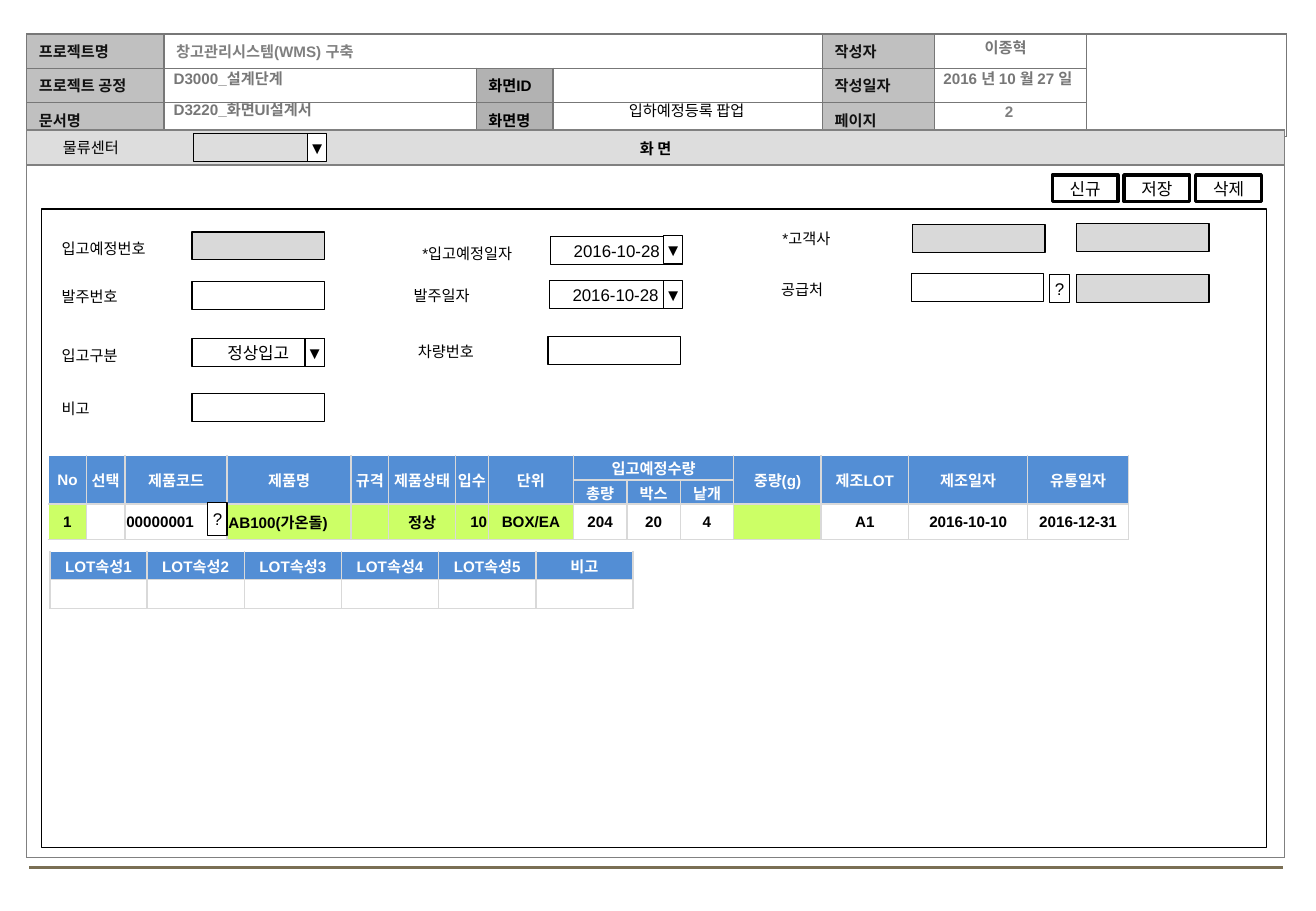
from dataclasses import dataclass
from typing import Any, Optional

import pptx
import pptx.dml.color
import pptx.enum.shapes
import pptx.enum.text
import pptx.oxml.ns
import pptx.util
from lxml import etree

SCALE = 9144  # EMU per px, 100 px to the inch
FONT = "Arial"
COLORS = {
    "black": "000000", "white": "FFFFFF", "ink": "111111",
    "dim": "777777", "gray": "808080", "page": "7F7F7F",
    "label": "C0C0C0", "dark": "B2B2B2", "bar": "DDDDDD", "lock": "D9D9D9",
    "blue": "538ED5", "lime": "CCFF66", "rule": "7A6F54",
}
ALIGNS = {
    "l": pptx.enum.text.PP_ALIGN.LEFT,
    "c": pptx.enum.text.PP_ALIGN.CENTER,
    "r": pptx.enum.text.PP_ALIGN.RIGHT,
}
TOP = pptx.enum.text.MSO_ANCHOR.TOP
MIDDLE = pptx.enum.text.MSO_ANCHOR.MIDDLE


@dataclass
class Look:
    fill: Optional[str] = None
    color: str = "black"
    align: str = "c"


@dataclass
class Grid:
    x: int
    y: int
    cols: list[int]
    rows: list[int]
    texts: list[list[str]]
    looks: list[str]
    inset: tuple[int, int, int, int]
    line: str
    spans: list[tuple[int, int, int, int]]
    open: str = ""  # outer sides without a border


@dataclass
class Label:
    x: int
    y: int
    text: str
    w: int = 117
    align: str = "l"
    color: str = "black"
    bold: bool = False


@dataclass
class Box:
    x: int
    y: int
    text: str = ""
    fill: Optional[str] = None
    w: int = 109
    h: int = 23
    line: float = 0.75


LOOKS = {
    "k": Look("label", "ink", "l"), "d": Look("dark", "black", "l"),
    "v": Look(None, "gray", "l"), "s": Look("bar"), "h": Look("blue", "white"),
    "g": Look("lime"), "n": Look("lime", align="l"), "r": Look("lime", align="r"),
    "w": Look(), "t": Look(align="l"),
}
CELL = (1, 1, 1, 0)

GRIDS = [
    # Document header
    Grid(22, 28, [113, 257, 63, 222, 92, 125, 165], [28] * 3,
         [["프로젝트명", "창고관리시스템(WMS) 구축", "", "", "작성자", "", ""],
          ["프로젝트 공정", "", "화면ID", "", "작성일자", "", ""],
          ["문서명", "", "화면명", "", "페이지", "", ""]],
         ["kvvvkvv", "kvdvkvv", "kvdvkvv"], (10, 5, 10, 5), "dim",
         [(0, 1, 0, 3), (0, 6, 2, 6)]),
    # Screen area
    Grid(22, 107, [1035], [29, 570], [["화 면"], [""]], ["s", "w"],
         (2, 0, 2, 0), "gray", []),
    # Product lines
    Grid(40, 375, [31, 32, 84, 102, 31, 55, 27, 70, 44, 44, 44, 72, 72, 98, 83],
         [20, 20, 29],
         [["No", "선택", "제품코드", "제품명", "규격", "제품상태", "입수", "단위",
           "입고예정수량", "", "", "중량(g)", "제조LOT", "제조일자", "유통일자"],
          [""] * 8 + ["총량", "박스", "낱개"] + [""] * 4,
          ["1", "", "00000001", "AB100(가온돌)", "", "정상", "10", "BOX/EA",
           "204", "20", "4", "", "A1", "2016-10-10", "2016-12-31"]],
         ["h" * 15, "h" * 15, "gwtnggrgwwwgwww"], CELL, "lock",
         [(0, 8, 0, 10)] + [(0, c, 1, c) for c in range(15) if c not in (8, 9, 10)],
         "LT"),
    # Lot attributes
    Grid(41, 454, [80] * 6, [23, 24],
         [[f"LOT속성{n}" for n in range(1, 6)] + ["비고"], [""] * 6],
         ["h" * 6, "w" * 6], CELL, "lock", [], "T"),
]

LABELS = [
    # Header values
    Label(133, 52, "D3000_설계단계", 542, color="dim", bold=True),
    Label(133, 78, "D3220_화면UI설계서", 541, color="dim", bold=True),
    Label(749, 27, "이종혁", 157, "c", "dim", True),
    Label(751, 52, "2016 년 10 월 27 일", 157, "c", "dim", True),
    Label(768, 79, "2", 125, "c", "page", True),
    # Form labels
    Label(42, 109, "물류센터"),
    Label(41, 192, "입고예정번호"),
    Label(41, 232, "발주번호"),
    Label(41, 280, "입고구분"),
    Label(41, 324, "비고"),
    Label(321, 196, "*입고예정일자", 127, "c"),
    Label(305, 231, "발주일자", align="c"),
    Label(334, 277, "차량번호"),
    Label(634, 184, "*고객사"),
    Label(633, 226, "공급처"),
]

BOXES = [
    # Form fields
    Box(159, 110), Box(158, 191, fill="lock"), Box(158, 232),
    Box(158, 279, "정상입고"), Box(158, 324),
    Box(453, 195, "2016-10-28"), Box(452, 231, "2016-10-28"), Box(451, 277),
    Box(751, 185, fill="lock"), Box(886, 184, fill="lock"),
    Box(750, 225), Box(886, 226, fill="lock"),
    # Lookup buttons
    Box(171, 414, "?", "white", 16, 27), Box(864, 226, "?", "white", 16),
]
# Drop-down arrows
BOXES += [Box(x, y, "▼", "white", 16)
          for x, y in [(253, 110), (251, 279), (546, 194), (546, 231)]]
# Command buttons
BOXES += [Box(866 + 59 * i, 144, name, "white", 54, 22, 2)
          for i, name in enumerate(["신규", "저장", "삭제"])]


def px(*sizes: int) -> list[pptx.util.Emu]:
    return [pptx.util.Emu(size * SCALE) for size in sizes]


def rgb(name: str) -> pptx.dml.color.RGBColor:
    return pptx.dml.color.RGBColor.from_string(COLORS[name])


def paint(fill: Any, name: Optional[str]) -> None:
    if name is None:
        fill.background()
    else:
        fill.solid()
        fill.fore_color.rgb = rgb(name)


def write(frame: Any, text: str, size: int, color: str, bold: bool, align: str) -> None:
    frame.text = text
    para = frame.paragraphs[0]
    para.alignment = ALIGNS[align]
    for run in para.runs:
        run.font.name, run.font.size, run.font.bold = FONT, pptx.util.Pt(size), bold
        run.font.color.rgb = rgb(color)
    if not text:
        etree.SubElement(para._p, pptx.oxml.ns.qn("a:endParaRPr"), sz=str(size * 100))


def edge(cell: Any, side: str, color: str) -> None:
    qn = pptx.oxml.ns.qn
    line = etree.SubElement(cell._tc.get_or_add_tcPr(), qn(f"a:ln{side}"), w="12700")
    fill = etree.SubElement(line, qn("a:solidFill"))
    etree.SubElement(fill, qn("a:srgbClr"), val=COLORS[color])


def draw_grid(slide: Any, grid: Grid) -> None:
    table = slide.shapes.add_table(
        len(grid.rows), len(grid.cols),
        *px(grid.x, grid.y, sum(grid.cols), sum(grid.rows))).table
    table.first_row = table.horz_banding = False
    for col, size in zip(table.columns, px(*grid.cols)):
        col.width = size
    for row, size in zip(table.rows, px(*grid.rows)):
        row.height = size
    for r, texts in enumerate(grid.texts):
        for c, text in enumerate(texts):
            cell, look = table.cell(r, c), LOOKS[grid.looks[r][c]]
            (cell.margin_left, cell.margin_top,
             cell.margin_right, cell.margin_bottom) = px(*grid.inset)
            cell.vertical_anchor = MIDDLE
            write(cell.text_frame, text, 9, look.color, True, look.align)
            outer = ("L" if c == 0 else "") + ("T" if r == 0 else "")
            for side in "LRTB":
                if not (side in outer and side in grid.open):
                    edge(cell, side, grid.line)
            paint(cell.fill, look.fill)
    for top, left, low, right in grid.spans:
        table.cell(top, left).merge(table.cell(low, right))


def draw_label(slide: Any, label: Label) -> None:
    frame = slide.shapes.add_textbox(*px(label.x, label.y, label.w, 25)).text_frame
    frame.word_wrap = True
    write(frame, label.text, 9, label.color, label.bold, label.align)


def draw_box(slide: Any, box: Box) -> None:
    shape = slide.shapes.add_shape(
        pptx.enum.shapes.MSO_SHAPE.RECTANGLE, *px(box.x, box.y, box.w, box.h))
    shape.shadow.inherit = False
    paint(shape.fill, box.fill)
    shape.line.color.rgb = rgb("black")
    shape.line.width = pptx.util.Pt(box.line)
    if box.text:
        frame = shape.text_frame
        (frame.margin_left, frame.margin_top,
         frame.margin_right, frame.margin_bottom) = px(2, 4, 2, 4)
        frame.word_wrap, frame.vertical_anchor = False, MIDDLE
        write(frame, box.text, 10, "black", False, "c")


def draw_title(slide: Any, text: str) -> None:
    title = slide.shapes.title
    title.left, title.top, title.width, title.height = px(456, 78, 218, 25)
    frame = title.text_frame
    frame.auto_size = pptx.enum.text.MSO_AUTO_SIZE.NONE
    frame.word_wrap, frame.vertical_anchor = True, TOP
    write(frame, text, 9, "black", False, "c")


def draw_rule(slide: Any) -> None:
    rule = slide.shapes.add_connector(
        pptx.enum.shapes.MSO_CONNECTOR.STRAIGHT, *px(24, 714, 1056, 714))
    rule.line.color.rgb = rgb("rule")
    rule.line.width = pptx.util.Pt(1.75)
    etree.SubElement(rule._element.spPr, pptx.oxml.ns.qn("a:effectLst"))


def main() -> None:
    deck = pptx.Presentation()
    deck.slide_width, deck.slide_height = px(1083, 750)
    slide = deck.slides.add_slide(deck.slide_layouts[5])
    draw_title(slide, "입하예정등록 팝업")
    draw_rule(slide)
    for grid in GRIDS:
        draw_grid(slide, grid)
    # Form frame, then its parts
    draw_box(slide, Box(34, 172, w=1008, h=526))
    for label in LABELS:
        draw_label(slide, label)
    for box in BOXES:
        draw_box(slide, box)
    deck.save("out.pptx")


if __name__ == "__main__":
    main()
